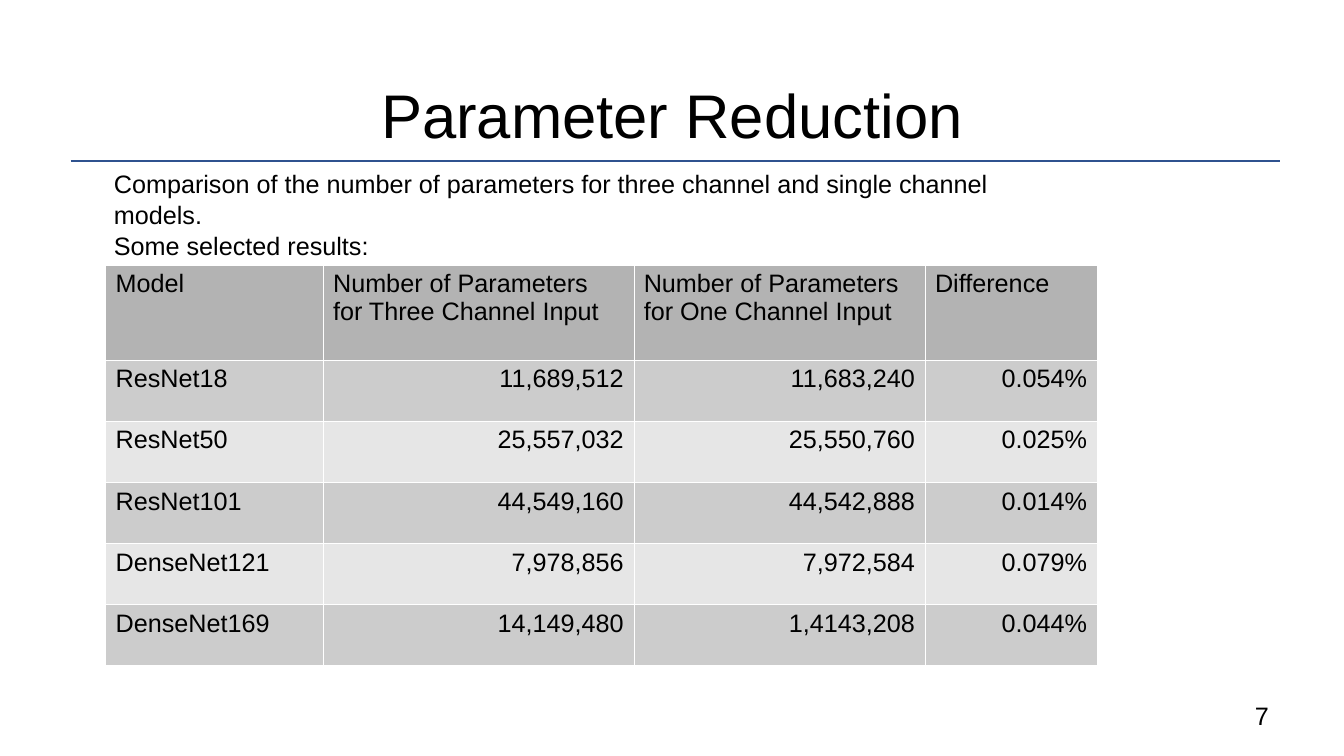
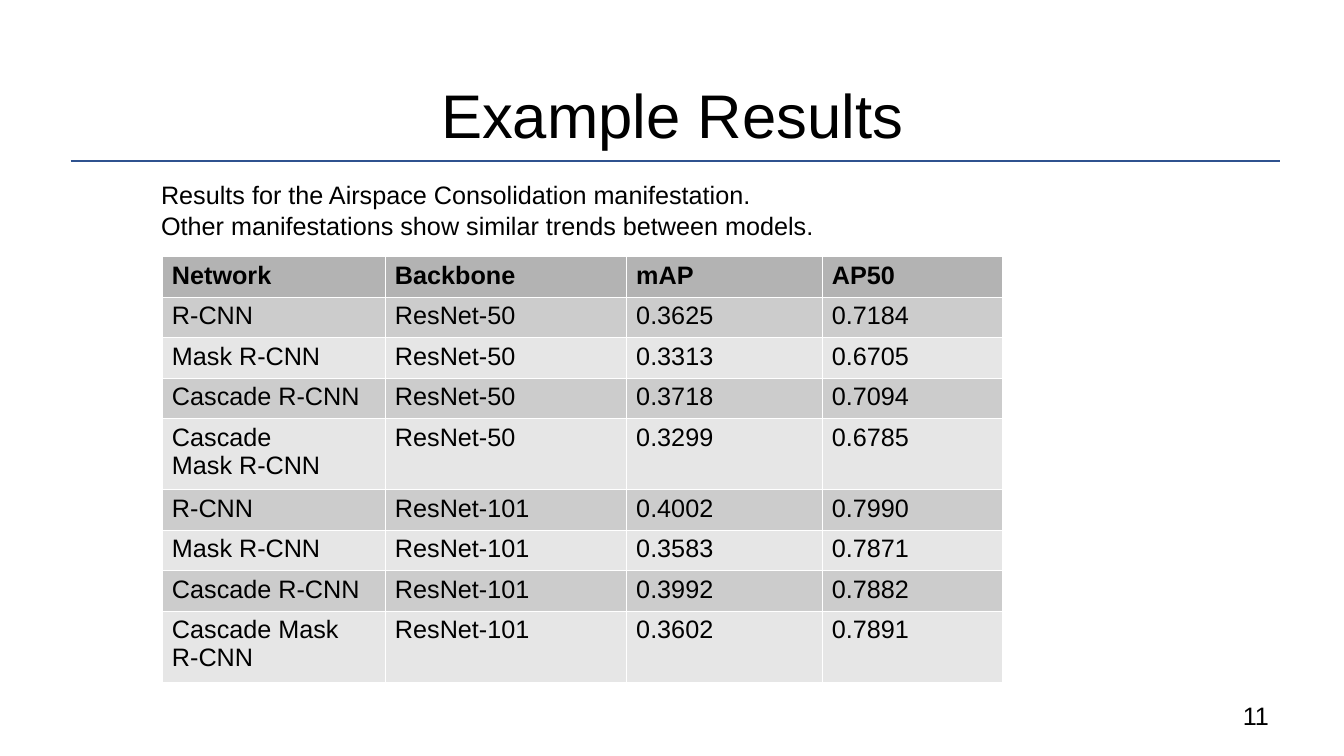
from dataclasses import dataclass

from lxml.etree import SubElement
from pptx import Presentation
from pptx.dml.color import RGBColor as Rgb
from pptx.enum.shapes import MSO_CONNECTOR as Connector
from pptx.enum.text import MSO_ANCHOR as Anchor, MSO_AUTO_SIZE as AutoSize, PP_ALIGN as Align
from pptx.oxml.ns import qn
from pptx.presentation import Presentation as Deck
from pptx.slide import Slide
from pptx.table import _Cell as Cell
from pptx.text.text import TextFrame
from pptx.util import Cm, Pt


@dataclass(frozen=True)
class Theme:
    font: str = "Arial"
    title_size: int = 44
    body_size: int = 18
    ink: str = "000000"
    rule: str = "2F528F"
    header: str = "B3B3B3"
    bands: tuple[str, str] = ("CCCCCC", "E6E6E6")
    border: str = "FFFFFF"
    border_width: float = 0.06
    intro_spacing: float = 1.03


@dataclass(frozen=True)
class Box:
    left: float
    top: float
    width: float
    height: float

    def lengths(self) -> tuple[Cm, Cm, Cm, Cm]:
        return Cm(self.left), Cm(self.top), Cm(self.width), Cm(self.height)


@dataclass(frozen=True)
class Grid:
    left: float
    top: float
    columns: tuple[float, ...]
    row_heights: tuple[float, ...]
    rows: tuple[tuple[str, ...], ...]
    bold_header: bool = False
    right_figures: bool = False


@dataclass(frozen=True)
class ResultPage:
    title: str
    number: str
    intro: str
    intro_box: Box
    grid: Grid


THEME = Theme()
TITLE_BOX = Box(2.34, 1.02, 29.21, 3.68)
NUMBER_BOX = Box(27.43, 17.53, 4.8, 1.19)
RULE_LEFT, RULE_RIGHT, RULE_TOP = 1.78, 32.26, 4.06
SINGLE, DOUBLE = 1.02, 1.79

PAGES = (
    ResultPage(
        title="Parameter Reduction",
        number="7",
        intro="Comparison of the number of parameters for three channel and single channel models.\n"
              "Some selected results:",
        intro_box=Box(2.62, 4.1, 24.87, 3.1),
        grid=Grid(
            left=2.66, top=6.67,
            columns=(5.48, 7.83, 7.34, 4.34),
            row_heights=(2.4,) + (1.54,) * 5,
            rows=(
                ("Model", "Number of Parameters for Three Channel Input",
                 "Number of Parameters for One Channel Input", "Difference"),
                ("ResNet18", "11,689,512", "11,683,240", "0.054%"),
                ("ResNet50", "25,557,032", "25,550,760", "0.025%"),
                ("ResNet101", "44,549,160", "44,542,888", "0.014%"),
                ("DenseNet121", "7,978,856", "7,972,584", "0.079%"),
                ("DenseNet169", "14,149,480", "1,4143,208", "0.044%"),
            ),
            right_figures=True,
        ),
    ),
    ResultPage(
        title="Example Results",
        number="11",
        intro="Results for the Airspace Consolidation manifestation.\n"
              "Other manifestations show similar trends between models.",
        intro_box=Box(3.81, 4.36, 21.59, 1.68),
        grid=Grid(
            left=4.08, top=6.46,
            columns=(5.62, 6.08, 4.93, 4.55),
            row_heights=(SINGLE,) + (SINGLE, SINGLE, SINGLE, DOUBLE) * 2,
            rows=(
                ("Network", "Backbone", "mAP", "AP50"),
                ("R-CNN", "ResNet-50", "0.3625", "0.7184"),
                ("Mask R-CNN", "ResNet-50", "0.3313", "0.6705"),
                ("Cascade R-CNN", "ResNet-50", "0.3718", "0.7094"),
                ("Cascade\nMask R-CNN", "ResNet-50", "0.3299", "0.6785"),
                ("R-CNN", "ResNet-101", "0.4002", "0.7990"),
                ("Mask R-CNN", "ResNet-101", "0.3583", "0.7871"),
                ("Cascade R-CNN", "ResNet-101", "0.3992", "0.7882"),
                ("Cascade Mask\nR-CNN", "ResNet-101", "0.3602", "0.7891"),
            ),
            bold_header=True,
        ),
    ),
)


def write(frame: TextFrame, text: str, size: int = THEME.body_size, align: Align = Align.LEFT,
          bold: bool = False, spacing: float = 1.0) -> None:
    for index, line in enumerate(text.split("\n")):
        paragraph = frame.add_paragraph() if index else frame.paragraphs[0]
        paragraph.alignment = align
        paragraph.line_spacing = spacing
        run = paragraph.add_run()
        run.text = line
        run.font.name = THEME.font
        run.font.size = Pt(size)
        run.font.bold = bold
        run.font.color.rgb = Rgb.from_string(THEME.ink)


def add_title(slide: Slide, text: str) -> None:
    title = slide.shapes.title
    title.left, title.top, title.width, title.height = TITLE_BOX.lengths()
    frame = title.text_frame
    frame.auto_size = AutoSize.NONE
    frame.vertical_anchor = Anchor.MIDDLE
    frame.margin_left = frame.margin_right = frame.margin_top = frame.margin_bottom = Cm(0)
    write(frame, text, THEME.title_size, Align.CENTER)


def add_text(slide: Slide, box: Box, text: str, align: Align = Align.LEFT,
             spacing: float = 1.0) -> None:
    frame = slide.shapes.add_textbox(*box.lengths()).text_frame
    frame.word_wrap = True
    write(frame, text, align=align, spacing=spacing)


def add_rule(slide: Slide) -> None:
    rule = slide.shapes.add_connector(
        Connector.STRAIGHT, Cm(RULE_LEFT), Cm(RULE_TOP), Cm(RULE_RIGHT), Cm(RULE_TOP))
    rule.line.color.rgb = Rgb.from_string(THEME.rule)
    rule.line.width = Pt(1)
    SubElement(rule._element.spPr, qn("a:effectLst"))


def paint(cell: Cell, color: str) -> None:
    properties = cell._tc.get_or_add_tcPr()
    for side in ("a:lnL", "a:lnR", "a:lnT", "a:lnB"):
        border = SubElement(properties, qn(side), w=str(int(Pt(THEME.border_width))))
        SubElement(SubElement(border, qn("a:solidFill")), qn("a:srgbClr"), val=THEME.border)
    cell.fill.solid()
    cell.fill.fore_color.rgb = Rgb.from_string(color)


def add_grid(slide: Slide, grid: Grid) -> None:
    area = Box(grid.left, grid.top, sum(grid.columns), sum(grid.row_heights))
    table = slide.shapes.add_table(len(grid.rows), len(grid.columns), *area.lengths()).table
    table.first_row = table.horz_banding = False
    for column, width in zip(table.columns, grid.columns):
        column.width = Cm(width)
    for row, height in zip(table.rows, grid.row_heights):
        row.height = Cm(height)
    for r, values in enumerate(grid.rows):
        for c, value in enumerate(values):
            cell = table.cell(r, c)
            paint(cell, THEME.bands[(r - 1) % 2] if r else THEME.header)
            align = Align.RIGHT if grid.right_figures and r and c else Align.LEFT
            write(cell.text_frame, value, align=align, bold=grid.bold_header and r == 0)


def add_page(deck: Deck, page: ResultPage) -> None:
    slide = deck.slides.add_slide(deck.slide_layouts.get_by_name("Title Only"))
    add_rule(slide)
    add_text(slide, NUMBER_BOX, page.number, Align.RIGHT)
    add_title(slide, page.title)
    add_text(slide, page.intro_box, page.intro, spacing=THEME.intro_spacing)
    add_grid(slide, page.grid)


def main() -> None:
    deck = Presentation()
    deck.slide_width, deck.slide_height = Cm(33.87), Cm(19.05)
    for page in PAGES:
        add_page(deck, page)
    deck.save("out.pptx")


if __name__ == "__main__":
    main()
